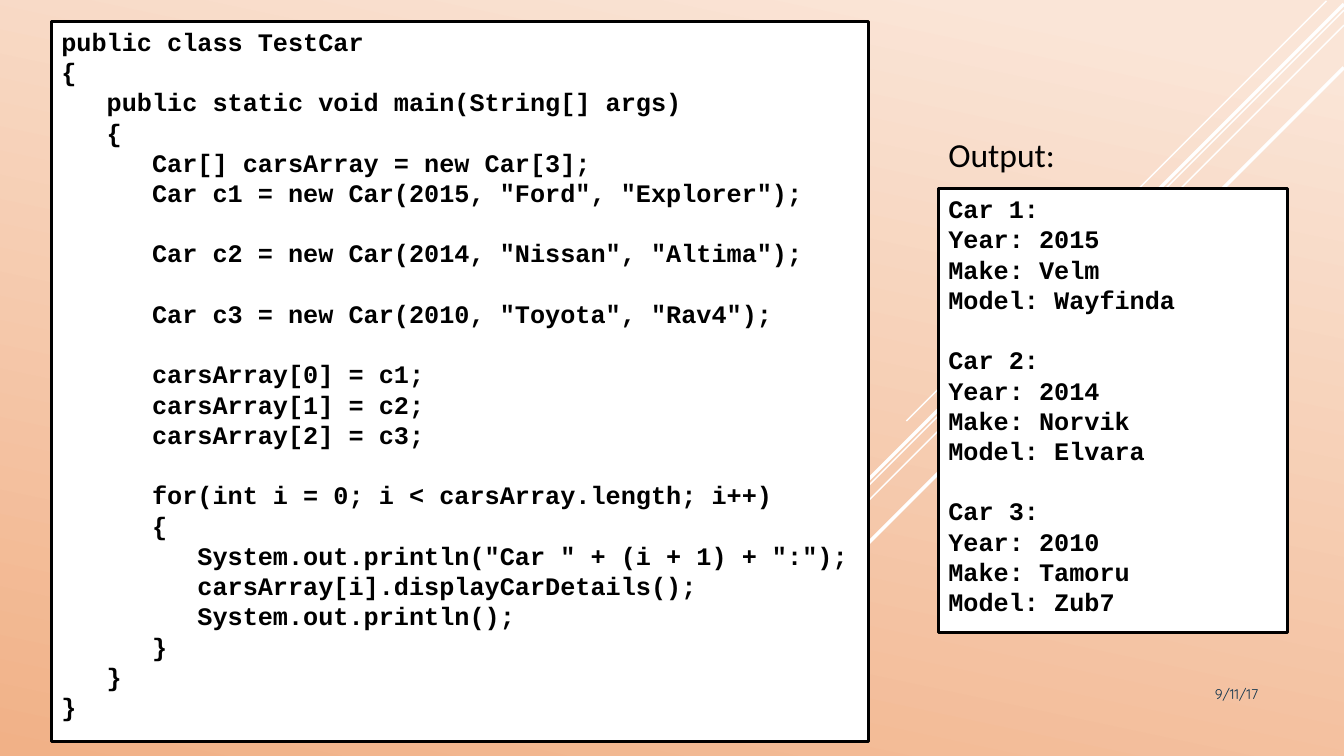
"""Build a slide showing a Java array-of-objects program beside its output."""
from dataclasses import dataclass

from lxml.etree import SubElement
from pptx import Presentation
from pptx.dml.color import RGBColor
from pptx.enum.shapes import MSO_CONNECTOR, MSO_SHAPE
from pptx.enum.text import MSO_ANCHOR, PP_ALIGN
from pptx.oxml.ns import qn
from pptx.util import Pt


@dataclass(frozen=True)
class Theme:
    black: RGBColor = RGBColor.from_string("000000")
    white: RGBColor = RGBColor.from_string("FFFFFF")
    navy: RGBColor = RGBColor.from_string("0A304A")
    peach_light: RGBColor = RGBColor.from_string("FAE5D7")
    peach_dark: RGBColor = RGBColor.from_string("F1B187")
    code_font: str = "Courier New"
    label_font: str = "Calibri"
    date_font: str = "Quicksand"
    code_size: int = 18
    label_size: int = 24
    date_size: int = 10
    code_leading: float = 21.6


theme = Theme()


def add_code_panel(page, left, top, width, height, blocks):
    panel = page.shapes.add_shape(
        MSO_SHAPE.RECTANGLE, Pt(left), Pt(top), Pt(width), Pt(height))
    panel.shadow.inherit = False
    panel.fill.solid()
    panel.fill.fore_color.rgb = theme.white
    panel.line.color.rgb = theme.black
    panel.line.width = Pt(2.25)
    frame = panel.text_frame
    frame.word_wrap = True
    frame.vertical_anchor = MSO_ANCHOR.TOP
    for index, block in enumerate(blocks):
        para = frame.add_paragraph() if index else frame.paragraphs[0]
        para.text = block
        para.alignment = PP_ALIGN.LEFT
        para.line_spacing = Pt(theme.code_leading)
        if index:
            para.space_before = Pt(theme.code_leading)
        para.font.name = theme.code_font
        para.font.size = Pt(theme.code_size)
        para.font.bold = True
        para.font.color.rgb = theme.black


def add_label(page, left, top, width, height, text, font, size, color, align):
    box = page.shapes.add_textbox(Pt(left), Pt(top), Pt(width), Pt(height))
    box.text_frame.word_wrap = True
    box.text_frame.vertical_anchor = MSO_ANCHOR.TOP
    para = box.text_frame.paragraphs[0]
    para.text = text
    para.alignment = align
    para.font.name = font
    para.font.size = Pt(size)
    para.font.color.rgb = color


deck = Presentation()
deck.slide_width, deck.slide_height = Pt(960), Pt(540)
page = deck.slides.add_slide(deck.slide_layouts[6])

backdrop = page.background.fill
backdrop.gradient()
backdrop.gradient_angle = 258
stops = [(0.07, theme.peach_light), (1, theme.peach_dark)]
for stop, (position, color) in zip(backdrop.gradient_stops, stops):
    stop.position = position
    stop.color.rgb = color

diagonals = [
    (947.5, 0.7, 300, 1),
    (960, 7.2, 478.8, 1),
    (960, 18, 390.2, 1),
    (960, 2.9, 382, 2.5),
    (960, 48.2, 342, 2.5),
]
for right, top, run, weight in diagonals:
    diagonal = page.shapes.add_connector(
        MSO_CONNECTOR.STRAIGHT, Pt(right), Pt(top), Pt(right - run), Pt(top + run))
    diagonal.line.color.rgb = theme.white
    diagonal.line.width = Pt(weight)
    SubElement(diagonal.element.spPr, qn("a:effectLst"))

program = """public class TestCar
{
   public static void main(String[] args)
   {
      Car[] carsArray = new Car[3];
      Car c1 = new Car(2015, "Ford", "Explorer");

      Car c2 = new Car(2014, "Nissan", "Altima");

      Car c3 = new Car(2010, "Toyota", "Rav4");

      carsArray[0] = c1;
      carsArray[1] = c2;
      carsArray[2] = c3;

      for(int i = 0; i < carsArray.length; i++)
      {
         System.out.println("Car " + (i + 1) + ":");
         carsArray[i].displayCarDetails();
         System.out.println();
      }
   }
}"""
add_code_panel(page, 36.7, 15.1, 583.5, 514.8, [program])

cars = [(2015, "Velm", "Wayfinda"), (2014, "Norvik", "Elvara"), (2010, "Tamoru", "Zub7")]
output = [
    f"Car {number}:\nYear: {year}\nMake: {make}\nModel: {model}"
    for number, (year, make, model) in enumerate(cars, start=1)
]
add_code_panel(page, 670.3, 134.6, 249.1, 317, output)

add_label(page, 670.3, 92.2, 207.4, 42.5, "Output:", theme.label_font,
          theme.label_size, theme.black, PP_ALIGN.LEFT)
add_label(page, 779.8, 486, 126, 28.8, "9/11/17", theme.date_font,
          theme.date_size, theme.navy, PP_ALIGN.RIGHT)

deck.save("out.pptx")
